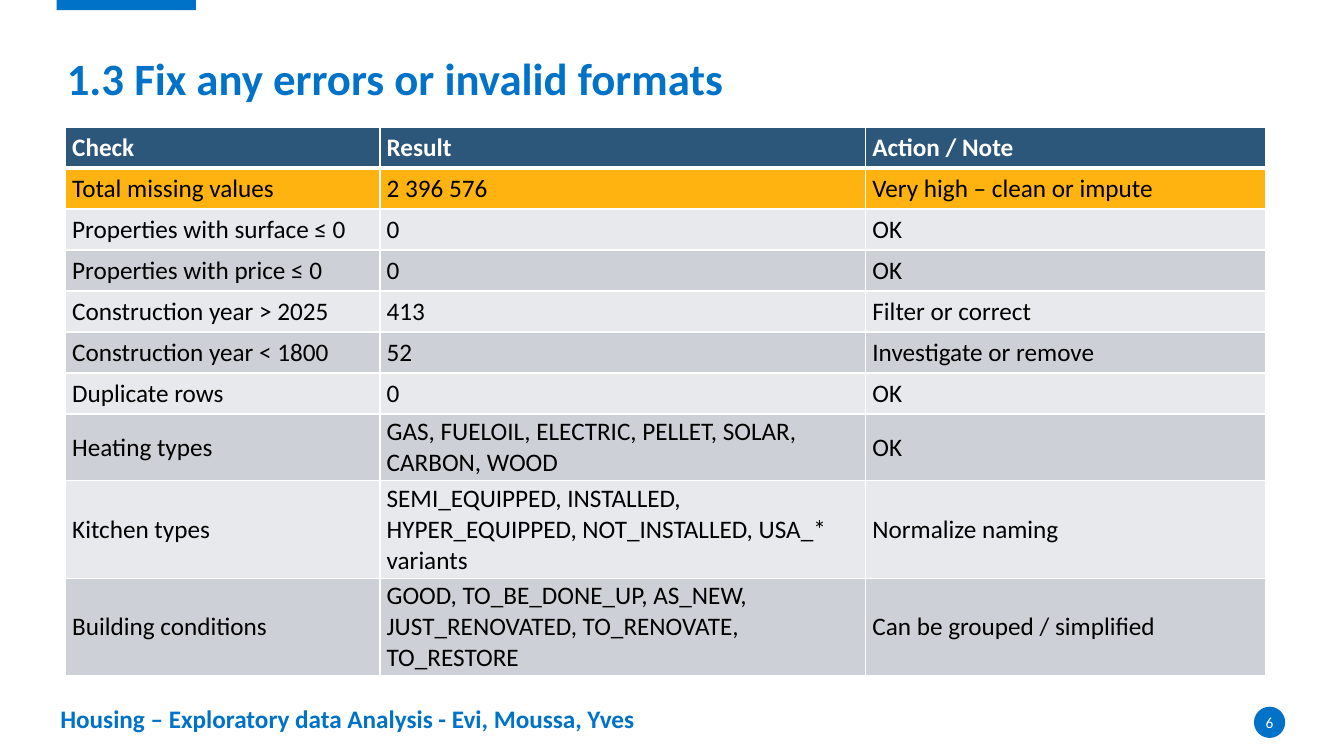
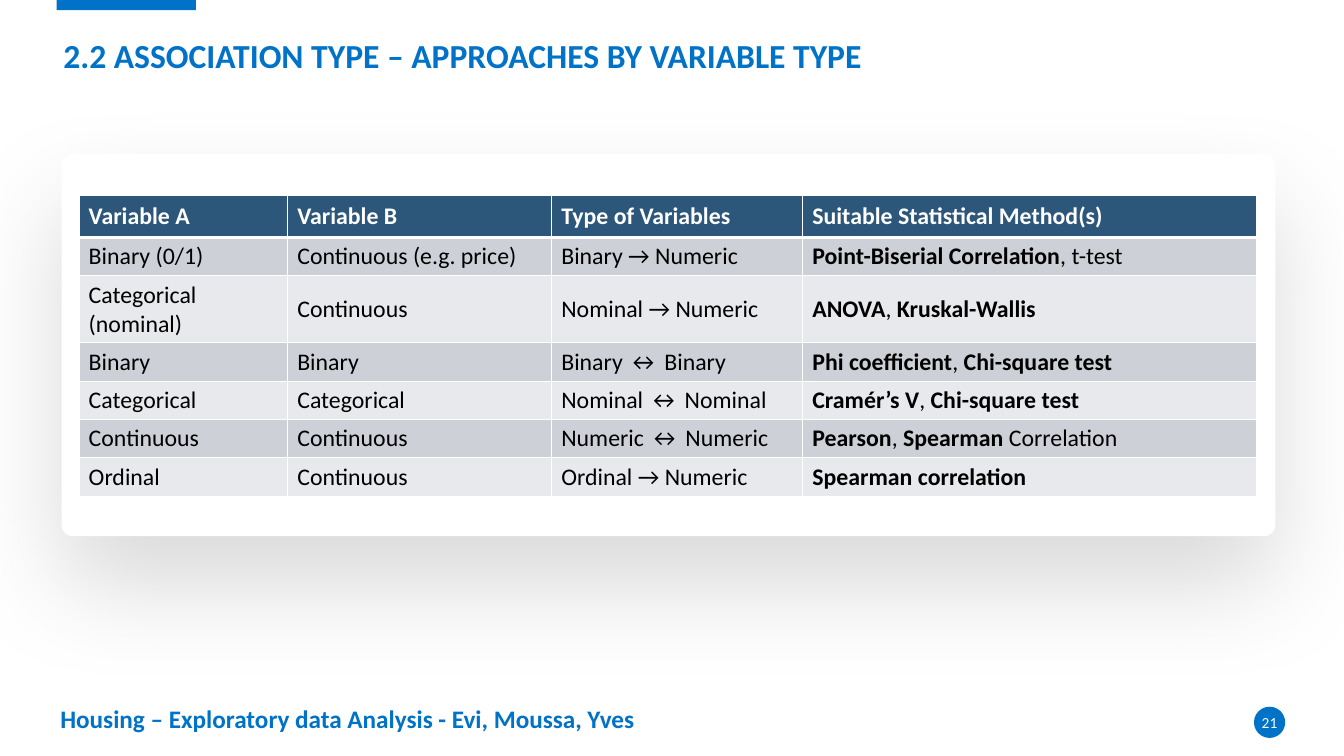
from dataclasses import dataclass

from lxml import etree
from pptx import Presentation
from pptx.dml.color import RGBColor
from pptx.enum.shapes import MSO_SHAPE
from pptx.enum.text import MSO_ANCHOR, MSO_AUTO_SIZE, PP_ALIGN
from pptx.oxml.ns import qn
from pptx.util import Pt

RECTANGLE = MSO_SHAPE.RECTANGLE
ELLIPSE = MSO_SHAPE.OVAL
ROUNDED = MSO_SHAPE.ROUNDED_RECTANGLE
MIDDLE = MSO_ANCHOR.MIDDLE
LEFT, CENTER = PP_ALIGN.LEFT, PP_ALIGN.CENTER
FIT_SHAPE = MSO_AUTO_SIZE.SHAPE_TO_FIT_TEXT
TITLE_ONLY = 5


@dataclass(frozen=True)
class Theme:
    font: str = "Calibri"
    accent: str = "0072C7"
    header: str = "2C567A"
    highlight: str = "FFB310"
    dark_band: str = "CDD1D7"
    light_band: str = "E8E9EC"
    white: str = "FFFFFF"
    black: str = "000000"
    footer_size: float = 18
    number_size: float = 11
    cell_border: float = 1
    header_border: float = 3


THEME = Theme()
FOOTER = "Housing – Exploratory data Analysis - Evi, Moussa, Yves"

CHECKS = [
    ("Check", "Result", "Action / Note"),
    ("Total missing values", "2 396 576", "Very high – clean or impute"),
    ("Properties with surface ≤ 0", "0", "OK"),
    ("Properties with price ≤ 0", "0", "OK"),
    ("Construction year > 2025", "413", "Filter or correct"),
    ("Construction year < 1800", "52", "Investigate or remove"),
    ("Duplicate rows", "0", "OK"),
    ("Heating types", "GAS, FUELOIL, ELECTRIC, PELLET, SOLAR, CARBON, WOOD", "OK"),
    ("Kitchen types",
     "SEMI_EQUIPPED, INSTALLED, HYPER_EQUIPPED, NOT_INSTALLED, USA_* variants",
     "Normalize naming"),
    ("Building conditions",
     "GOOD, TO_BE_DONE_UP, AS_NEW, JUST_RENOVATED, TO_RENOVATE, TO_RESTORE",
     "Can be grouped / simplified"),
]

# A tuple in a cell holds runs that alternate between bold and plain
METHODS = [
    ("Variable A", "Variable B", "Type of Variables", "Suitable Statistical Method(s)"),
    ("Binary (0/1)", "Continuous (e.g. price)", "Binary → Numeric",
     ("Point-Biserial Correlation", ", t-test")),
    ("Categorical (nominal)", "Continuous", "Nominal → Numeric",
     ("ANOVA", ", ", "Kruskal-Wallis")),
    ("Binary", "Binary", "Binary ↔ Binary",
     ("Phi coefficient", ", ", "Chi-square test")),
    ("Categorical", "Categorical", "Nominal ↔ Nominal",
     ("Cramér’s V", ", ", "Chi-square test")),
    ("Continuous", "Continuous", "Numeric ↔ Numeric",
     ("Pearson", ", ", "Spearman", " Correlation")),
    ("Ordinal", "Continuous", "Ordinal → Numeric", ("Spearman correlation",)),
]


def points(*lengths):
    return [Pt(length) for length in lengths]


def rgb(color):
    return RGBColor.from_string(color)


def add_run(paragraph, text, size, color, bold=False):
    run = paragraph.add_run()
    run.text = text
    run.font.name = THEME.font
    run.font.size = Pt(size)
    run.font.bold = bold
    run.font.color.rgb = rgb(color)


def set_margins(frame, horizontal, vertical):
    frame.margin_left = frame.margin_right = Pt(horizontal)
    frame.margin_top = frame.margin_bottom = Pt(vertical)


def add_plain_shape(slide, kind, box, color):
    shape = slide.shapes.add_shape(kind, *points(*box))
    shape.shadow.inherit = False
    shape.fill.solid()
    shape.fill.fore_color.rgb = rgb(color)
    shape.line.fill.background()
    return shape


def add_titled_slide(prs, title, box, size, number, line_spacing=1.0):
    slide = prs.slides.add_slide(prs.slide_layouts[TITLE_ONLY])

    # Band at the top edge
    add_plain_shape(slide, RECTANGLE, (40.5, 0, 99.5, 7.3), THEME.accent)

    # Footer
    footer = slide.shapes.add_textbox(*points(36, 499, 570, 29)).text_frame
    footer.word_wrap = True
    add_run(footer.paragraphs[0], FOOTER, THEME.footer_size, THEME.accent, bold=True)

    # Slide number
    badge = add_plain_shape(slide, ELLIPSE, (895.7, 504.8, 22.3, 22.3), THEME.accent)
    frame = badge.text_frame
    frame.word_wrap = False
    frame.vertical_anchor = MIDDLE
    set_margins(frame, 0, 0)
    frame.paragraphs[0].alignment = CENTER
    add_run(frame.paragraphs[0], number, THEME.number_size, THEME.white)

    # Title
    heading = slide.shapes.title
    heading.left, heading.top, heading.width, heading.height = points(*box)
    frame = heading.text_frame
    frame.word_wrap = True
    frame.auto_size = FIT_SHAPE
    frame.vertical_anchor = MIDDLE
    paragraph = frame.paragraphs[0]
    paragraph.alignment = LEFT
    paragraph.line_spacing = line_spacing
    add_run(paragraph, title, size, THEME.accent, bold=True)
    return slide


def add_shadow_card(slide, box):
    card = add_plain_shape(slide, ROUNDED, box, THEME.white)
    card.adjustments[0] = 0.03
    effects = card._element.spPr.find(qn("a:effectLst"))
    shadow = etree.SubElement(
        effects, qn("a:outerShdw"), blurRad=str(Pt(75)), dist=str(Pt(35)),
        dir=str(90 * 60000), algn="t", rotWithShape="0")
    color = etree.SubElement(shadow, qn("a:srgbClr"), val=THEME.black)
    etree.SubElement(color, qn("a:alpha"), val="15000")


def set_borders(cell, top, bottom):
    side = THEME.cell_border
    properties = cell._tc.get_or_add_tcPr()
    for tag, width in (("lnL", side), ("lnR", side), ("lnT", top), ("lnB", bottom)):
        line = etree.SubElement(properties, qn(f"a:{tag}"), w=str(Pt(width)))
        fill = etree.SubElement(line, qn("a:solidFill"))
        etree.SubElement(fill, qn("a:srgbClr"), val=THEME.white)


def fill_cell(cell, content, row, size, fill, margins):
    is_header = row == 0
    set_borders(cell,
                top=THEME.header_border if row == 1 else THEME.cell_border,
                bottom=THEME.header_border if is_header else THEME.cell_border)
    cell.fill.solid()
    cell.fill.fore_color.rgb = rgb(fill)
    cell.vertical_anchor = MIDDLE
    set_margins(cell, *margins)
    color = THEME.white if is_header else THEME.black
    paragraph = cell.text_frame.paragraphs[0]
    if isinstance(content, str):
        add_run(paragraph, content, size, color, bold=is_header)
    else:
        for index, text in enumerate(content):
            add_run(paragraph, text, size, color, bold=index % 2 == 0)


def add_data_table(slide, rows, origin, widths, heights, size, margins, highlighted=()):
    table = slide.shapes.add_table(
        len(rows), len(widths),
        *points(*origin, sum(widths), sum(heights))).table
    table.horz_banding = False
    for column, width in zip(table.columns, widths):
        column.width = Pt(width)
    for row, (contents, height) in enumerate(zip(rows, heights)):
        table.rows[row].height = Pt(height)
        if row == 0:
            fill = THEME.header
        elif row in highlighted:
            fill = THEME.highlight
        else:
            fill = THEME.dark_band if row % 2 else THEME.light_band
        for column, content in enumerate(contents):
            fill_cell(table.cell(row, column), content, row, size, fill, margins)


def build_checks_slide(prs):
    slide = add_titled_slide(prs, "1.3 Fix any errors or invalid formats",
                             box=(40.5, 32.5, 734, 46), size=32, number="6")
    add_data_table(slide, CHECKS, origin=(46.8, 90.7), widths=(224.6, 347, 285.8),
                   heights=[29.3] * 7 + [47.8] + [69.5] * 2,
                   size=18, margins=(4.8, 2), highlighted=(1,))


def build_methods_slide(prs):
    slide = add_titled_slide(prs, "2.2 ASSOCIATION TYPE – APPROACHES BY VARIABLE TYPE",
                             box=(38, 24.5, 884, 33), size=24, number="21",
                             line_spacing=0.9)
    add_shadow_card(slide, (44, 110, 867, 273))
    add_data_table(slide, METHODS, origin=(56.5, 139.7), widths=(149, 188.6, 179.3, 324),
                   heights=[30] + [27.4, 47.8] + [27.4] * 4,
                   size=17, margins=(6.9, 3.3))


def main():
    prs = Presentation()
    prs.slide_width, prs.slide_height = points(960, 540)
    build_checks_slide(prs)
    build_methods_slide(prs)
    prs.save("out.pptx")


if __name__ == "__main__":
    main()
